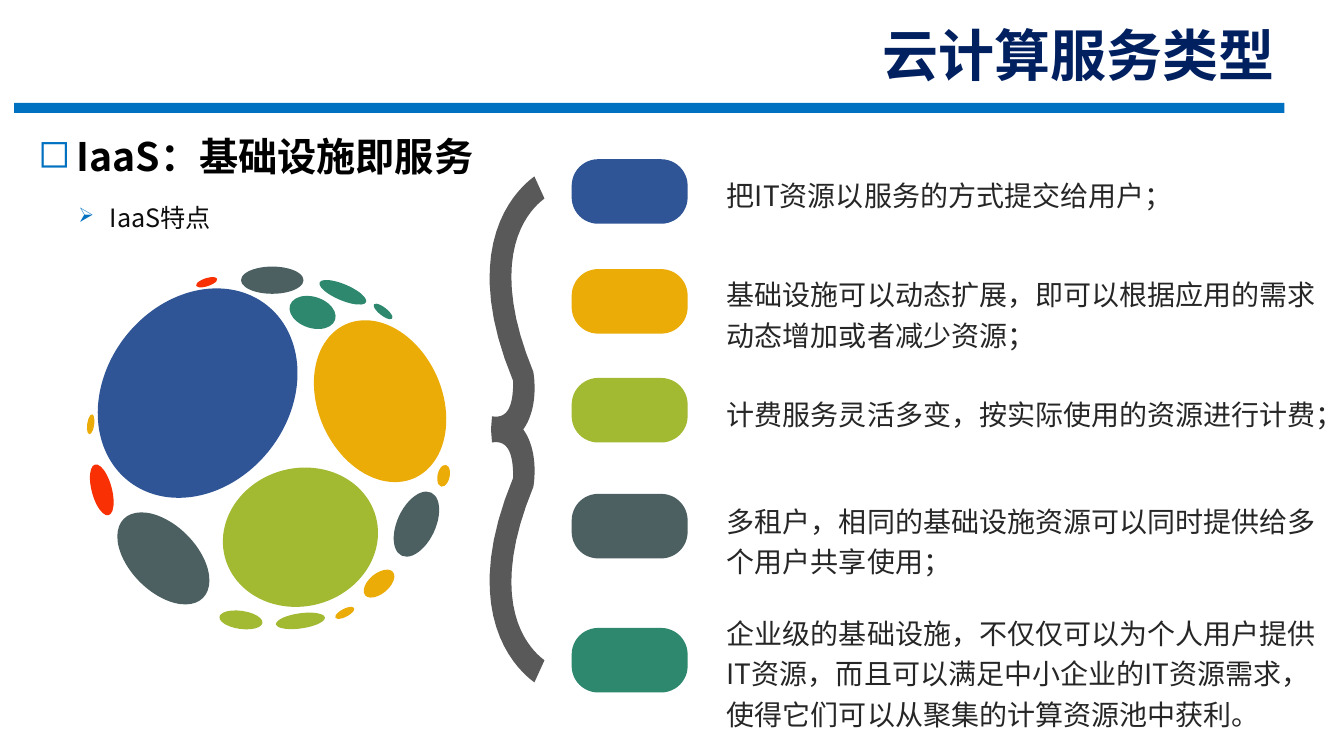
import pptx
import pptx.dml.color
import pptx.enum.shapes
import pptx.enum.text
import pptx.oxml.ns
import pptx.util
from dataclasses import dataclass
from lxml import etree

Inches = pptx.util.Inches
Kind = pptx.enum.shapes.MSO_SHAPE
Align = pptx.enum.text.PP_ALIGN
Anchor = pptx.enum.text.MSO_ANCHOR


@dataclass(frozen=True)
class Theme:
    """Colours, fonts and type sizes of the slide."""
    navy: str = "002060"
    rule: str = "0070C0"
    black: str = "000000"
    ink: str = "0D0D0D"
    body: str = "262626"
    brace: str = "595959"
    blue: str = "2F5597"
    gold: str = "EBAC07"
    lime: str = "A2B932"
    slate: str = "4C6062"
    green: str = "2D886E"
    red: str = "F83003"
    face: str = "Noto Sans CJK SC"
    head: str = "Lato"
    big: int = 40
    topic: int = 28
    text: int = 20
    sub: int = 18


THEME = Theme()

PATCHES = {
    THEME.blue: [(1.96, 1.9, 1.82, 2.22, 38)],
    THEME.gold: [(3.77, 1.98, 1.23, 1.67, -24), (0.9, 2.21, 0.07, 0.2, 8),
                 (4.4, 2.72, 0.12, 0.22, 12), (3.42, 4.08, 0.21, 0.08, -27),
                 (3.76, 3.79, 0.36, 0.2, -40)],
    THEME.lime: [(2.98, 3.33, 1.55, 1.37, -15), (2.39, 4.15, 0.43, 0.18, 8),
                 (2.98, 4.16, 0.49, 0.15, -8)],
    THEME.slate: [(4.13, 3.2, 0.38, 0.69, 25), (1.62, 3.54, 1.11, 0.66, 45),
                  (2.7, 0.78, 0.62, 0.27, 0)],
    THEME.green: [(3.1, 1.1, 0.47, 0.31, 18), (3.4, 0.9, 0.5, 0.16, 23),
                  (3.8, 1.09, 0.23, 0.08, 38)],
    THEME.red: [(2.05, 0.8, 0.22, 0.08, -18), (1.01, 2.86, 0.2, 0.52, -15)],
}

HALF = [
    (1.19, 3.26), (1.34, 3.05, 1.3, 2.75, 1.29, 2.69),
    (0.75, 1.38, 1.38, 0.99, 1.4, 0.97), (1.3, 0.75),
    (1.3, 0.76, 0.46, 1.26, 1.09, 2.78),
    (1.09, 3, 1.05, 3.16, 0.88, 3.13), (0.87, 3.26)]

POINTS = [
    (THEME.blue, 1.58, 1.66, 0.5, "把IT资源以服务的方式提交给用户；"),
    (THEME.gold, 2.67, 2.64, 0.91,
     "基础设施可以动态扩展，即可以根据应用的需求动态增加或者减少资源；"),
    (THEME.lime, 3.75, 3.83, 0.5, "计费服务灵活多变，按实际使用的资源进行计费；"),
    (THEME.slate, 4.9, 4.89, 0.91,
     "多租户，相同的基础设施资源可以同时提供给多个用户共享使用；"),
    (THEME.green, 6.23, 6, 1.31,
     "企业级的基础设施，不仅仅可以为个人用户提供IT资源，而且可以满足中小企业的"
     "IT资源需求，使得它们可以从聚集的计算资源池中获利。"),
]


def tint(item, color):
    """Give a shape a flat fill with no line or shadow."""
    item.shadow.inherit = False
    item.fill.solid()
    item.fill.fore_color.rgb = pptx.dml.color.RGBColor.from_string(color)
    item.line.fill.background()


def shape(slide, kind, box, color):
    """Add a flat preset shape in the box."""
    item = slide.shapes.add_shape(kind, *map(Inches, box))
    tint(item, color)
    return item


def trace(parts, steps=20):
    """Turn lines and cubic curves into a list of points."""
    dots = []
    for part in parts:
        if len(part) == 2:
            dots.append(part)
            continue
        start = dots[-1]
        for step in range(1, steps + 1):
            t = step / steps
            u = 1 - t
            dots.append(tuple(
                u**3 * p + 3 * u * u * t * a + 3 * u * t * t * b + t**3 * q
                for p, a, b, q in zip(start, part[:2], part[2:4], part[4:])))
    return dots


def brace(slide, left, top, waist=3.26):
    """Draw the brace as one half and its mirror about the waist."""
    upper = trace(HALF)
    lower = [(x, 2 * waist - y) for x, y in reversed(upper)]
    dots = [(Inches(left + x), Inches(top + y)) for x, y in upper + lower]
    pen = slide.shapes.build_freeform(*dots[0])
    pen.add_line_segments(dots[1:], close=True)
    tint(pen.convert_to_shape(), THEME.brace)


def mark(para, sign, indent, scale):
    """Hang a coloured bullet before a paragraph."""
    props = para._p.get_or_add_pPr()
    props.set("marL", str(Inches(indent)))
    props.set("indent", str(-Inches(indent)))
    tag = pptx.oxml.ns.qn
    color = etree.SubElement(props, tag("a:buClr"))
    etree.SubElement(color, tag("a:srgbClr"), val=THEME.rule)
    etree.SubElement(props, tag("a:buSzPct"), val=str(scale * 1000))
    etree.SubElement(props, tag("a:buChar"), char=sign)


def write(slide, box, text, size, color, face=THEME.face, bold=False,
          anchor=Anchor.TOP, **form):
    """Write one wrapped paragraph in the box and return it."""
    frame = slide.shapes.add_textbox(*map(Inches, box)).text_frame
    frame.word_wrap, frame.vertical_anchor = True, anchor
    para = frame.paragraphs[0]
    for name, value in form.items():
        setattr(para, name, value)
    run = para.add_run()
    run.text = text
    style = {"size": pptx.util.Pt(size), "name": face, "bold": bold}
    for name, value in style.items():
        setattr(run.font, name, value)
    run.font.color.rgb = pptx.dml.color.RGBColor.from_string(color)
    etree.SubElement(run._r.get_or_add_rPr(), pptx.oxml.ns.qn("a:ea"),
                     typeface=THEME.face)
    return para


def header(slide, left, top, width):
    """Place the slide title over its rule."""
    shape(slide, Kind.RECTANGLE, (left, top + 0.68, width, 0.1), THEME.rule)
    write(slide, (left + width - 6.33, top, 6.33, 0.58), "云计算服务类型",
          THEME.big, THEME.navy, THEME.head, True, Anchor.BOTTOM,
          alignment=Align.RIGHT)


def topic(slide, left, top):
    """Place the topic and its subheading."""
    para = write(slide, (left, top, 11.5, 0.62), "IaaS：基础设施即服务",
                 THEME.topic, THEME.black, bold=True, anchor=Anchor.MIDDLE)
    mark(para, "◻", 0.38, 100)
    para = write(slide, (left + 0.4, top + 0.66, 1.7, 0.51), "IaaS特点",
                 THEME.sub, THEME.ink, line_spacing=1.2,
                 space_before=pptx.util.Pt(10))
    mark(para, "➢", 0.31, 80)


def globe(slide, left, top):
    """Draw the ball of coloured patches from centres, sizes and turns."""
    for color, group in PATCHES.items():
        for x, y, width, height, turn in group:
            box = (left + x - width / 2, top + y - height / 2, width, height)
            shape(slide, Kind.OVAL, box, color).rotation = turn


def points(slide, left):
    """Place each feature beside its coloured pill."""
    for color, pill, top, height, text in POINTS:
        item = shape(slide, Kind.ROUNDED_RECTANGLE, (left, pill, 1.15, 0.64), color)
        item.adjustments[0] = 0.41
        write(slide, (left + 1.44, top, 6.05, height), text,
              THEME.text, THEME.body, line_spacing=1.2)


def main():
    """Build and save the slide."""
    deck = pptx.Presentation()
    deck.slide_width, deck.slide_height = Inches(13.33), Inches(7.5)
    slide = deck.slides.add_slide(deck.slide_layouts[6])
    globe(slide, 0, 2)
    brace(slide, 4, 1)
    points(slide, 5.67)
    header(slide, 0.14, 0.34, 12.6)
    topic(slide, 0.28, 1.24)
    deck.save("out.pptx")


if __name__ == "__main__":
    main()
